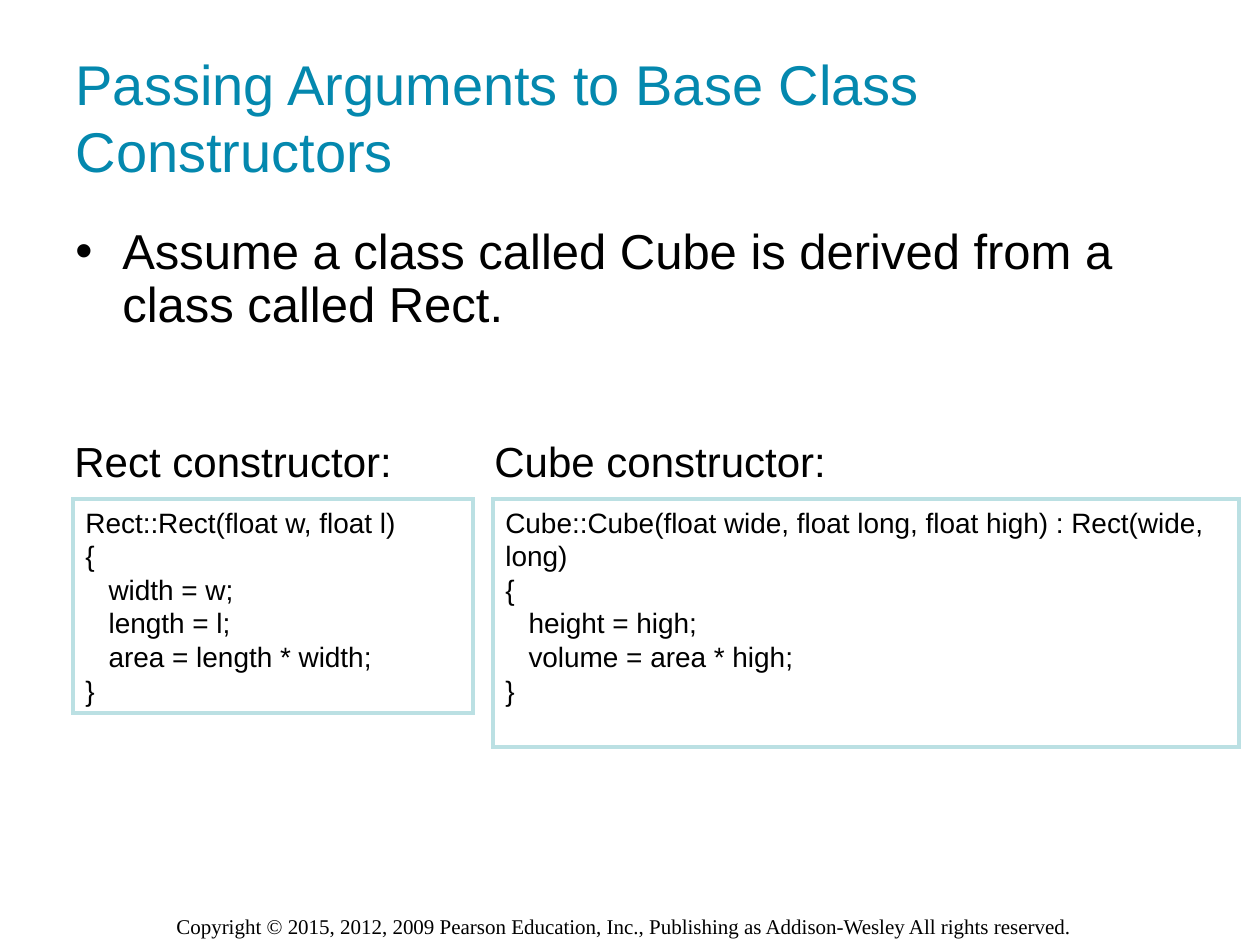
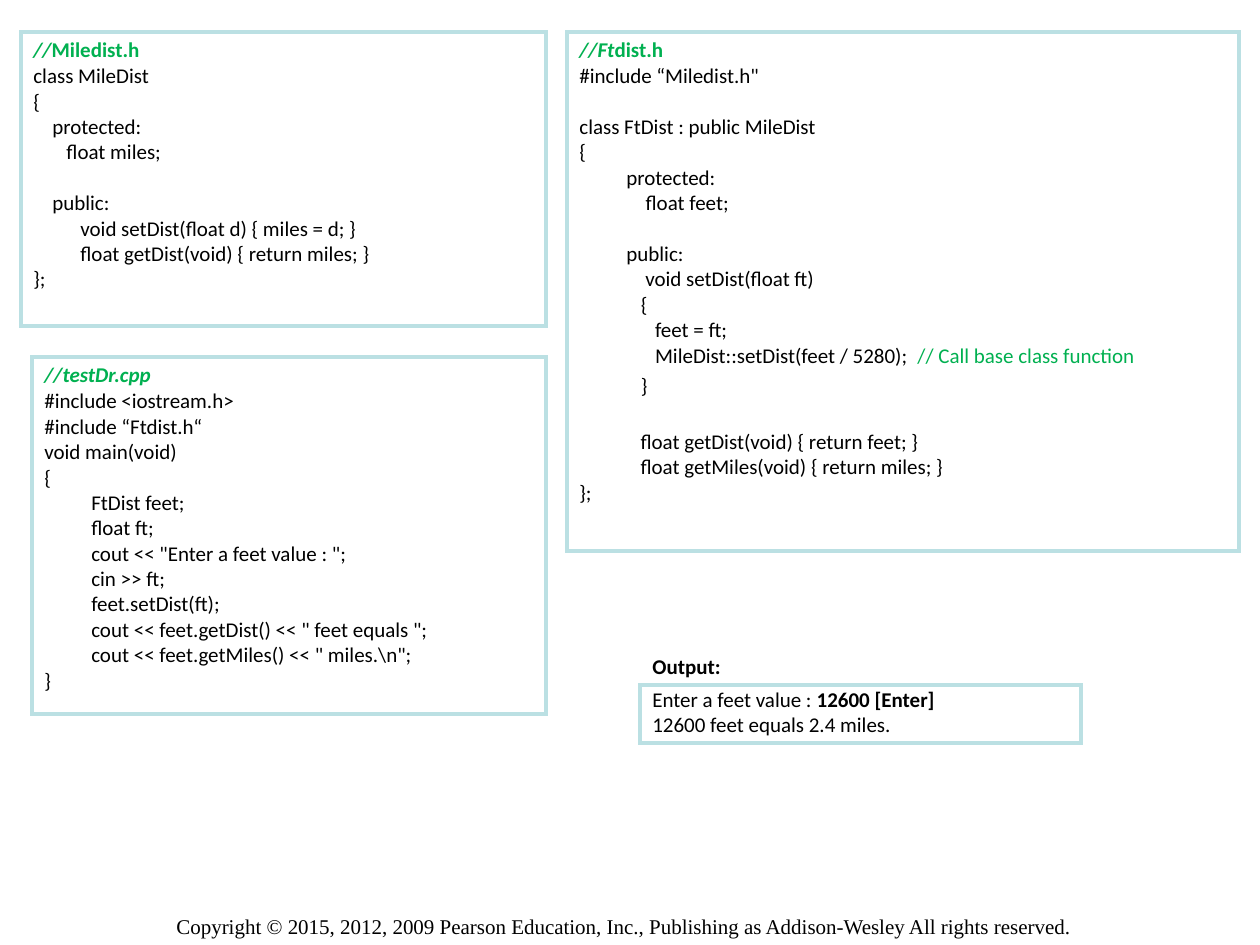
import dataclasses

import pptx
import pptx.dml.color
import pptx.enum.shapes
import pptx.enum.text
import pptx.oxml.ns
import pptx.util
from lxml import etree

PX = pptx.util.Inches(1) / 126
TITLE_ONLY, BLANK = 5, 6
HANGING = 47


@dataclasses.dataclass(frozen=True)
class Theme:
    ink: str = "000000"
    title: str = "0488AE"
    border: str = "BBE0E3"
    comment: str = "00B050"
    sans: str = "Arial"
    code: str = "Calibri"
    serif: str = "Times New Roman"
    title_size: int = 32
    body_size: int = 28
    label_size: int = 24
    constructor_size: int = 16
    small_size: int = 12
    border_width: int = 2


THEME = Theme()

COPYRIGHT = ("Copyright © 2015, 2012, 2009 Pearson Education, Inc., "
             "Publishing as Addison-Wesley All rights reserved.")

RECT_CODE = """Rect::Rect(float w, float l)
{
   width = w;
   length = l;
   area = length * width;
}"""

CUBE_CODE = """Cube::Cube(float wide, float long, float high) : Rect(wide, long)
{
   height = high;
   volume = area * high;
}"""

MILEDIST_CODE = """class MileDist
{
    protected:
       float miles;

    public:
\tvoid setDist(float d) { miles = d; }
\tfloat getDist(void) { return miles; }
};"""

FTDIST_CODE = """#include “Miledist.h"

class FtDist : public MileDist
{
\tprotected:
              float feet;

\tpublic:
\t    void setDist(float ft)
             {
                feet = ft;
                MileDist::setDist(feet / 5280);  // Call base class function
             }

\t   float getDist(void) { return feet; }
\t   float getMiles(void) { return miles; }
};"""

TEST_CODE = """#include <iostream.h>
#include “Ftdist.h“
void main(void)
{
\tFtDist feet;
\tfloat ft;
\tcout << "Enter a feet value : ";
\tcin >> ft;
\tfeet.setDist(ft);
\tcout << feet.getDist() << " feet equals ";
\tcout << feet.getMiles() << " miles.\\n";
}"""


def px(length):
    return pptx.util.Emu(round(length * PX))


def style_run(run, font, size, color=THEME.ink, bold=False, italic=False):
    run.font.name = font
    run.font.size = pptx.util.Pt(size)
    run.font.bold = bold
    run.font.italic = italic
    run.font.color.rgb = pptx.dml.color.RGBColor.from_string(color)


def style_text(text_frame, font, size, color=THEME.ink, bold=False):
    for paragraph in text_frame.paragraphs:
        for run in paragraph.runs:
            style_run(run, font, size, color, bold)


def add_code_run(paragraph, text, **style):
    run = paragraph.add_run()
    run.text = text
    style_run(run, THEME.code, THEME.small_size, **style)


def add_property(paragraph, tag, **attributes):
    properties = paragraph._p.get_or_add_pPr()
    return etree.SubElement(properties, pptx.oxml.ns.qn(tag), **attributes)


def set_hanging_indent(paragraph):
    properties = paragraph._p.get_or_add_pPr()
    properties.set("marL", str(px(HANGING)))
    properties.set("indent", str(-px(HANGING)))


def add_text(slide, box, text, font, size, bold=False):
    """Add a one-paragraph text box and return its paragraph."""
    shape = slide.shapes.add_textbox(*map(px, box))
    shape.text_frame.word_wrap = True
    shape.text_frame.text = text
    style_text(shape.text_frame, font, size, bold=bold)
    return shape.text_frame.paragraphs[0]


def add_frame(slide, box):
    """Add an outlined box with sharp corners and return its text frame."""
    shape = slide.shapes.add_shape(
        pptx.enum.shapes.MSO_SHAPE.RECTANGLE, *map(px, box))
    shape.shadow.inherit = False
    shape.fill.background()
    shape.line.color.rgb = pptx.dml.color.RGBColor.from_string(THEME.border)
    shape.line.width = pptx.util.Pt(THEME.border_width)
    outline = shape._element.spPr.find(pptx.oxml.ns.qn("a:ln"))
    etree.SubElement(outline, pptx.oxml.ns.qn("a:miter"), lim="800000")
    text_frame = shape.text_frame
    text_frame.word_wrap = True
    text_frame.vertical_anchor = pptx.enum.text.MSO_ANCHOR.TOP
    return text_frame


def add_footer(slide):
    add_text(slide, (164, 907, 935, 38), COPYRIGHT,
             THEME.serif, THEME.small_size)


def add_title(slide, text):
    title = slide.shapes.title
    title.left, title.top, title.width, title.height = map(
        px, (63, 38, 1134, 157))
    text_frame = title.text_frame
    text_frame.text = text
    text_frame.auto_size = pptx.enum.text.MSO_AUTO_SIZE.NONE
    text_frame.vertical_anchor = pptx.enum.text.MSO_ANCHOR.MIDDLE
    text_frame.paragraphs[0].alignment = pptx.enum.text.PP_ALIGN.LEFT
    style_text(text_frame, THEME.sans, THEME.title_size, THEME.title)


def add_bullet(slide, box, text):
    paragraph = add_text(slide, box, text, THEME.sans, THEME.body_size)
    set_hanging_indent(paragraph)
    add_property(paragraph, "a:buFont", typeface=THEME.sans)
    add_property(paragraph, "a:buChar", char="•")
    paragraph.line_spacing = 0.9


def add_constructor(slide, box, label, code):
    """Add a code box with its label standing above the top left corner."""
    left, top, width, height = box
    add_text(slide, (left - 11, top - 70, 390, 63), label,
             THEME.sans, THEME.label_size)
    text_frame = add_frame(slide, box)
    text_frame.text = code
    for paragraph in text_frame.paragraphs:
        paragraph.alignment = pptx.enum.text.PP_ALIGN.LEFT
    style_text(text_frame, THEME.sans, THEME.constructor_size)


def format_code_line(paragraph, spacing, before):
    paragraph.alignment = pptx.enum.text.PP_ALIGN.LEFT
    set_hanging_indent(paragraph)
    tabs = add_property(paragraph, "a:tabLst")
    for inch in range(8):
        etree.SubElement(tabs, pptx.oxml.ns.qn("a:tab"),
                         pos=str(pptx.util.Inches(inch)), algn="l")
    paragraph.line_spacing = spacing
    paragraph.space_before = pptx.util.Pt(before)


def add_listing(slide, box, slanted, upright, code, loose=()):
    """Add a source file; lines numbered in loose have full line spacing."""
    text_frame = add_frame(slide, box)
    heading = text_frame.paragraphs[0]
    format_code_line(heading, 0.96, 0)
    for text, italic in ((slanted, True), (upright, False)):
        if text:
            add_code_run(heading, text, color=THEME.comment,
                         bold=True, italic=italic)
    before = 3
    for number, line in enumerate(code.splitlines(), 1):
        spacing = 1.0 if number in loose else 0.8
        if not line:
            before += 3 + 1.2 * THEME.small_size * spacing
            continue
        paragraph = text_frame.add_paragraph()
        format_code_line(paragraph, spacing, before)
        statement, slashes, comment = line.partition("//")
        add_code_run(paragraph, statement)
        if comment:
            add_code_run(paragraph, slashes + comment, color=THEME.comment)
        before = 3


def add_output(slide, box):
    left, top, width, height = box
    label = add_text(slide, (left, top - 33, 108, 33), "Output:",
                     THEME.code, THEME.small_size, bold=True)
    text_frame = add_frame(slide, box)
    prompt, result = text_frame.paragraphs[0], text_frame.add_paragraph()
    add_code_run(prompt, "Enter a feet value : ")
    add_code_run(prompt, "12600 [Enter]", bold=True)
    add_code_run(result, "12600 feet equals 2.4 miles.")
    label.line_spacing = prompt.line_spacing = 0.8
    for paragraph in (prompt, result):
        paragraph.alignment = pptx.enum.text.PP_ALIGN.LEFT


def build_constructor_slide(slide):
    add_footer(slide)
    add_title(slide, "Passing Arguments to Base Class Constructors")
    add_bullet(slide, (63, 221, 1134, 147),
               "Assume a class called Cube is derived from a class called Rect.")
    add_constructor(slide, (73, 499, 400, 214), "Rect constructor:", RECT_CODE)
    add_constructor(slide, (493, 499, 746, 248), "Cube constructor:", CUBE_CODE)


def build_program_slide(slide):
    add_footer(slide)
    add_listing(slide, (21, 32, 525, 294), "//", "Miledist.h", MILEDIST_CODE)
    add_listing(slide, (567, 32, 672, 519), "//Ft", "dist.h", FTDIST_CODE,
                loose=(13, 14))
    add_listing(slide, (32, 357, 514, 357), "//testDr.cpp", "", TEST_CODE)
    add_output(slide, (640, 685, 441, 58))


def main():
    presentation = pptx.Presentation()
    presentation.slide_width, presentation.slide_height = px(1260), px(945)
    layouts = presentation.slide_layouts
    build_constructor_slide(presentation.slides.add_slide(layouts[TITLE_ONLY]))
    build_program_slide(presentation.slides.add_slide(layouts[BLANK]))
    presentation.save("out.pptx")


if __name__ == "__main__":
    main()
